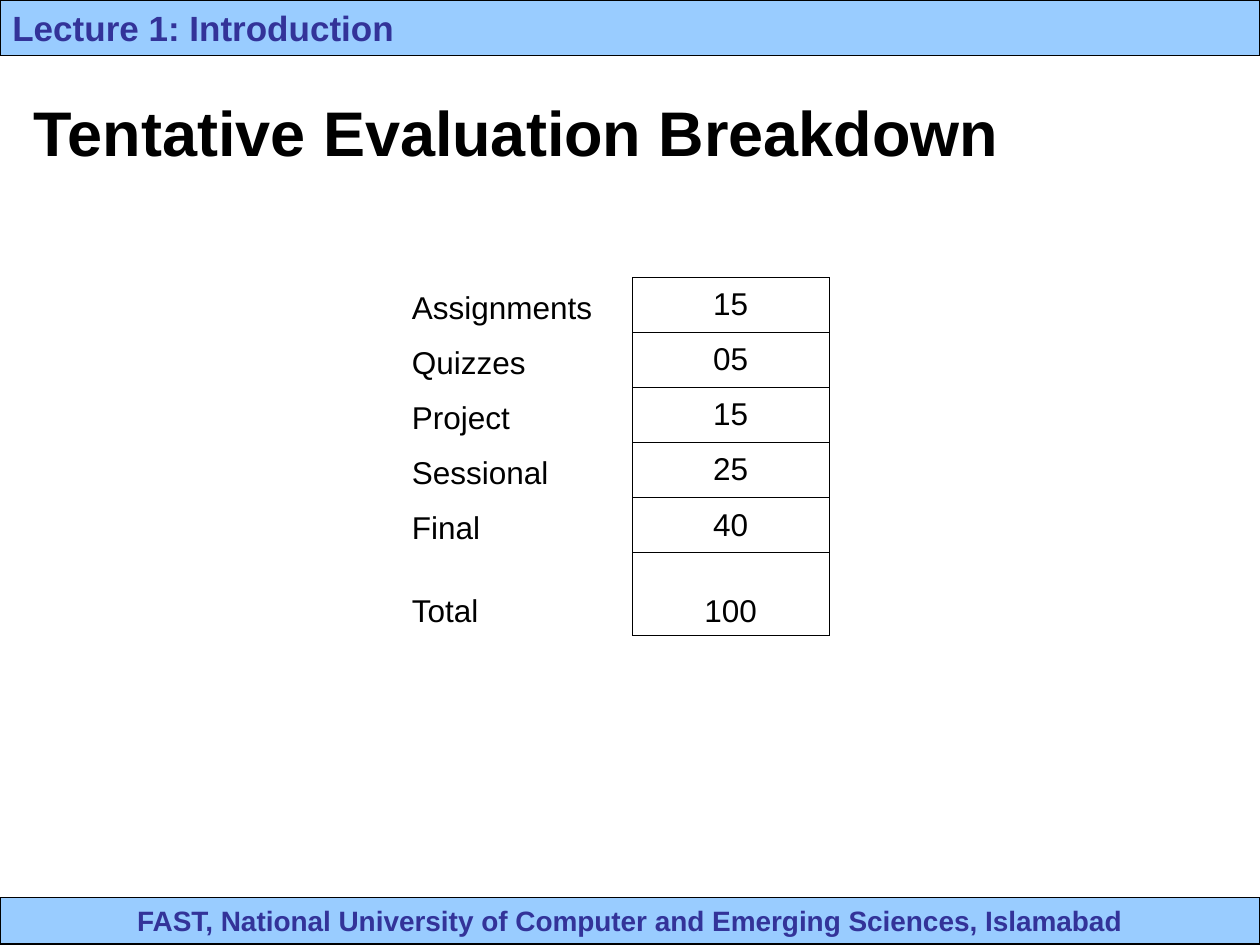
import pptx
import pptx.util
import pptx.dml.color
import pptx.enum.shapes
import pptx.enum.text
import pptx.oxml
import pptx.oxml.ns
from pptx.util import Cm

COLORS = {"bar": "99CCFF", "bar_text": "333399", "ink": "000000"}
ALIGN = pptx.enum.text.PP_ALIGN
ANCHOR = pptx.enum.text.MSO_ANCHOR


def rgb(name):
    return pptx.dml.color.RGBColor.from_string(COLORS[name])


def write(tf, text, size=18, color="ink", bold=False, align=ALIGN.LEFT,
          font="Arial"):
    p = tf.paragraphs[0]
    p.alignment = align
    r = p.add_run()
    r.text = text
    r.font.name = font
    r.font.size = pptx.util.Pt(size)
    r.font.bold = bold
    r.font.color.rgb = rgb(color)


class Deck:
    """Holds the slide and its style."""

    def __init__(self, prs):
        self.s = prs.slides.add_slide(prs.slide_layouts[5])
        self.width = prs.slide_width
        self.bar_line = pptx.util.Pt(0.75)
        self.cell_line = pptx.util.Pt(0.25)

    def bar(self, text, top, height, size, align):
        sp = self.s.shapes.add_shape(pptx.enum.shapes.MSO_SHAPE.RECTANGLE,
                                     0, top, self.width, height)
        sp.shadow.inherit = False
        sp.fill.solid()
        sp.fill.fore_color.rgb = rgb("bar")
        sp.line.color.rgb = rgb("ink")
        sp.line.width = self.bar_line
        tf = sp.text_frame
        tf.word_wrap = True
        tf.vertical_anchor = ANCHOR.MIDDLE
        write(tf, text, size=size, color="bar_text", bold=True, align=align)

    def title(self, text, left, top, width, height):
        sp = self.s.shapes.title
        sp.left, sp.top, sp.width, sp.height = left, top, width, height
        sp.text_frame.vertical_anchor = ANCHOR.MIDDLE
        write(sp.text_frame, text, size=36, bold=True)

    def borders(self, cell, sides):
        tcPr = cell._tc.get_or_add_tcPr()
        ns = pptx.oxml.ns.nsdecls("a")
        for i, side in enumerate("LRTB"):
            fill = "<a:noFill/>"
            if side in sides:
                fill = (f'<a:solidFill><a:srgbClr val="{COLORS["ink"]}"/>'
                        "</a:solidFill>")
            tcPr.insert(i, pptx.oxml.parse_xml(
                f'<a:ln{side} {ns} w="{self.cell_line}">{fill}</a:ln{side}>'))

    def table(self, rows, left, top, widths, heights):
        table = self.s.shapes.add_table(len(rows), len(widths), left, top,
                                        sum(widths), sum(heights)).table
        table.first_row = table.horz_banding = False
        for col, width in zip(table.columns, widths):
            col.width = width
        for i, (label, mark) in enumerate(rows):
            table.rows[i].height = heights[i]
            name, value = table.cell(i, 0), table.cell(i, 1)
            for cell in (name, value):
                cell.fill.background()
            self.borders(name, "R" if label else "")
            self.borders(value, "LRTB" if label else "B")
            if not label:
                continue
            name.vertical_anchor = ANCHOR.BOTTOM
            value.vertical_anchor = (ANCHOR.BOTTOM if label == "Total"
                                     else ANCHOR.MIDDLE)
            write(name.text_frame, label)
            write(value.text_frame, mark, align=ALIGN.CENTER)


def main():
    prs = pptx.Presentation()
    prs.slide_width, prs.slide_height = Cm(25.4), Cm(19.05)
    deck = Deck(prs)

    # Footer and header bars
    deck.bar("FAST, National University of Computer and Emerging Sciences, Islamabad",
             Cm(18.09), Cm(0.94), 16, ALIGN.CENTER)
    deck.bar("Lecture 1: Introduction", 0, Cm(1.12), 20, ALIGN.LEFT)

    # Title
    deck.title("Tentative Evaluation Breakdown",
               Cm(0.43), Cm(1.27), Cm(22.86), Cm(2.74))

    # Marks table, with an empty row on top
    rows = [("", ""), ("Assignments", "15"), ("Quizzes", "05"),
            ("Project", "15"), ("Sessional", "25"), ("Final", "40"),
            ("Total", "100")]
    heights = [Cm(1.35)] + [Cm(1.11)] * 5 + [Cm(1.67)]
    deck.table(rows, Cm(8.05), Cm(4.24), [Cm(4.7), Cm(3.96)], heights)

    prs.save("out.pptx")


if __name__ == "__main__":
    main()
